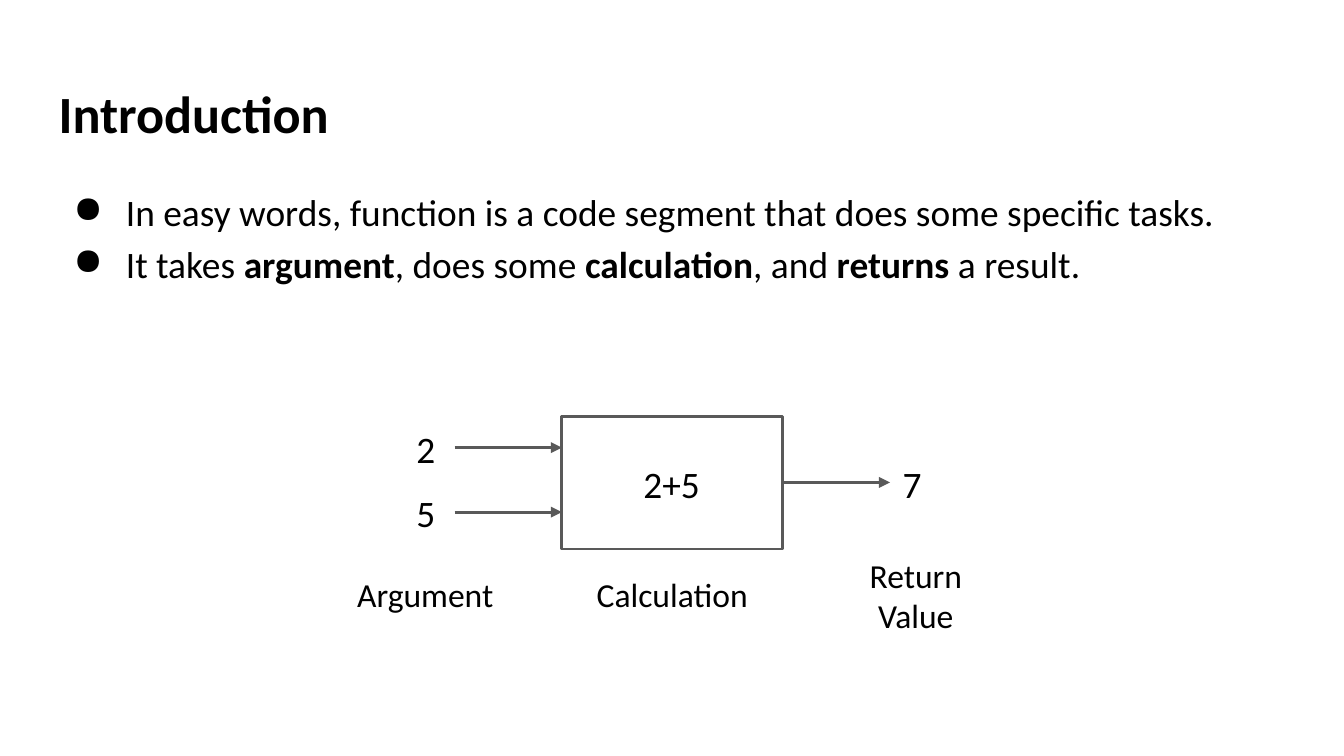
from dataclasses import dataclass

from lxml.etree import SubElement
from pptx import Presentation
from pptx.dml.color import RGBColor
from pptx.enum.shapes import MSO_CONNECTOR, MSO_SHAPE
from pptx.enum.text import MSO_ANCHOR, MSO_AUTO_SIZE, PP_ALIGN
from pptx.oxml.ns import qn
from pptx.util import Cm, Pt


@dataclass(frozen=True)
class Theme:
    font: str = "Calibri"
    text: RGBColor = RGBColor(0x00, 0x00, 0x00)
    line: RGBColor = RGBColor(0x59, 0x59, 0x59)
    title_size: Pt = Pt(28)
    body_size: Pt = Pt(20)
    label_size: Pt = Pt(18)
    line_width: Pt = Pt(1.5)


theme = Theme()


def format_text(shape, size, align=PP_ALIGN.LEFT, anchor=MSO_ANCHOR.TOP):
    text_frame = shape.text_frame
    text_frame.word_wrap = True
    text_frame.auto_size = MSO_AUTO_SIZE.NONE
    text_frame.vertical_anchor = anchor
    text_frame.margin_left = text_frame.margin_right = Cm(0.25)
    text_frame.margin_top = text_frame.margin_bottom = Cm(0.25)
    for paragraph in text_frame.paragraphs:
        paragraph.alignment = align
        for run in paragraph.runs:
            run.font.name = theme.font
            run.font.size = size
            run.font.color.rgb = theme.text


presentation = Presentation()
presentation.slide_width = Cm(25.4)
presentation.slide_height = Cm(14.29)
slide = presentation.slides.add_slide(presentation.slide_layouts[5])
shapes = slide.shapes

# Title
title = shapes.title
title.left, title.top, title.width, title.height = Cm(0.86), Cm(1.24), Cm(23.67), Cm(1.6)
title.text_frame.text = "Introduction"
format_text(title, theme.title_size, anchor=MSO_ANCHOR.MIDDLE)
heading = title.text_frame.paragraphs[0]
heading.line_spacing = 1.15
heading.space_before = heading.space_after = Pt(14)
heading.runs[0].font.bold = True

# Bullets: each is a list of (text, bold) pieces
bullets = [
    [("In easy words, function is a code segment that does some specific tasks.", False)],
    [("It takes ", False), ("argument", True), (", does some ", False),
     ("calculation", True), (", and ", False), ("returns", True), (" a result.", False)],
]
body = shapes.add_textbox(Cm(0.86), Cm(3.2), Cm(23.67), Cm(3.3))
for index, pieces in enumerate(bullets):
    paragraph = body.text_frame.paragraphs[0] if index == 0 else body.text_frame.add_paragraph()
    paragraph.line_spacing = 1.15
    paragraph.space_before = Pt(12 if index == 0 else 0)
    for text, bold in pieces:
        run = paragraph.add_run()
        run.text = text
        run.font.bold = bold
    properties = paragraph._p.get_or_add_pPr()
    properties.set("marL", str(Cm(1.27)))
    properties.set("indent", str(-Cm(0.99)))
    SubElement(properties, qn("a:buChar"), char="●")
format_text(body, theme.body_size)

# Function box
function_box = shapes.add_shape(MSO_SHAPE.RECTANGLE, Cm(10.62), Cm(7.87), Cm(4.17), Cm(2.51))
function_box.shadow.inherit = False
function_box.fill.background()
function_box.line.color.rgb = theme.line
function_box.line.width = theme.line_width

# Arrows into and out of the box
arrow_length = 2.03
for left, y in [(8.59, 8.46), (8.59, 9.68), (14.79, 9.12)]:
    arrow = shapes.add_connector(
        MSO_CONNECTOR.STRAIGHT, Cm(left), Cm(y), Cm(left + arrow_length), Cm(y))
    arrow.line.color.rgb = theme.line
    arrow.line.width = theme.line_width
    SubElement(arrow.line._get_or_add_ln(), qn("a:tailEnd"), type="triangle")
    SubElement(arrow._element.spPr, qn("a:effectLst"))

# Values and captions: text, left, top, width, height, size, alignment
labels = [
    ("2", 7.62, 7.8, 0.97, 1.32, theme.body_size, PP_ALIGN.LEFT),
    ("5", 7.62, 9.02, 0.97, 1.32, theme.body_size, PP_ALIGN.LEFT),
    ("7", 16.81, 8.46, 0.97, 1.32, theme.body_size, PP_ALIGN.LEFT),
    ("2+5", 11.68, 8.46, 2.03, 1.32, theme.body_size, PP_ALIGN.CENTER),
    ("Argument", 6.5, 10.59, 3.18, 1.32, theme.label_size, PP_ALIGN.LEFT),
    ("Calculation", 10.8, 10.59, 3.81, 1.32, theme.label_size, PP_ALIGN.CENTER),
    ("Return Value", 15.72, 10.24, 3.18, 2.06, theme.label_size, PP_ALIGN.CENTER),
]
for text, left, top, width, height, size, align in labels:
    label = shapes.add_textbox(Cm(left), Cm(top), Cm(width), Cm(height))
    label.text_frame.text = text
    format_text(label, size, align)

presentation.save("out.pptx")
